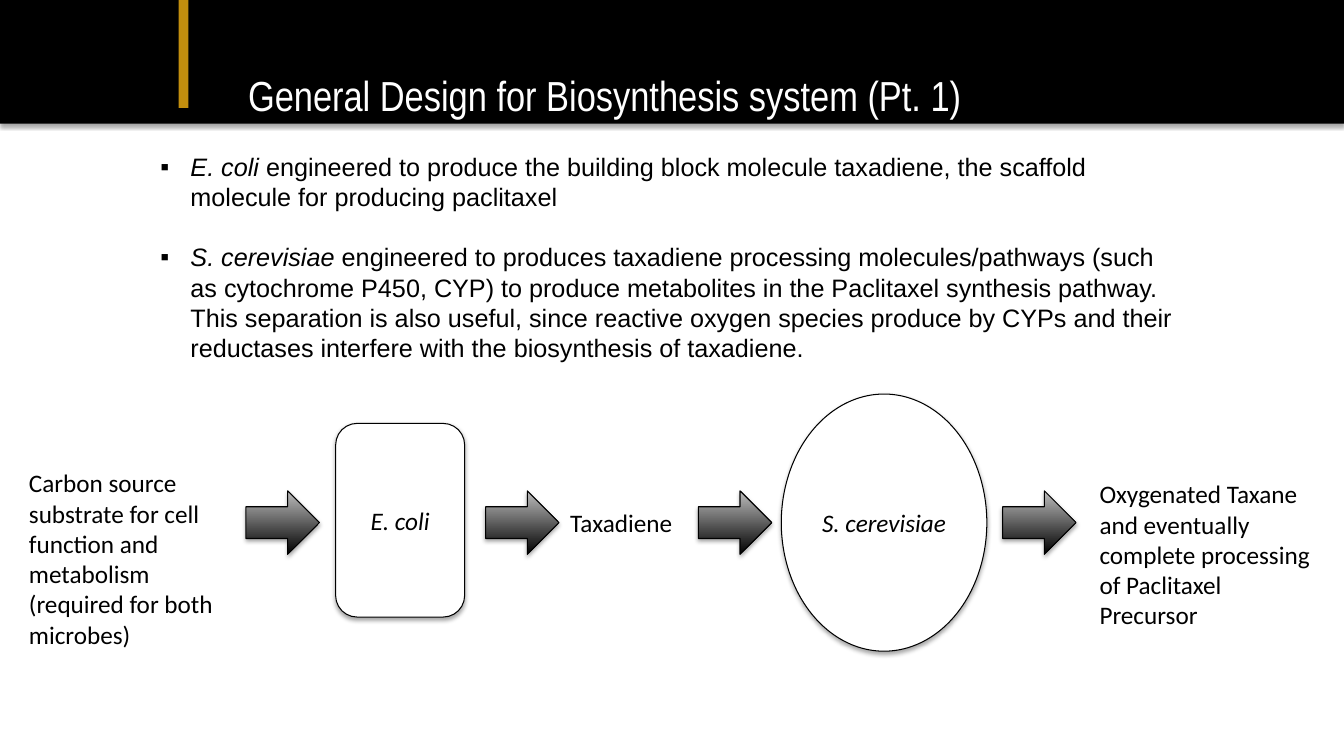
from dataclasses import dataclass

from lxml import etree
from pptx import Presentation
from pptx.dml.color import RGBColor
from pptx.enum.shapes import MSO_SHAPE
from pptx.enum.text import MSO_ANCHOR, MSO_AUTO_SIZE, PP_ALIGN
from pptx.oxml import parse_xml
from pptx.oxml.ns import nsdecls, qn
from pptx.util import Cm, Pt

RECTANGLE = MSO_SHAPE.RECTANGLE
ROUNDED = MSO_SHAPE.ROUNDED_RECTANGLE
ELLIPSE = MSO_SHAPE.OVAL
ARROW = MSO_SHAPE.RIGHT_ARROW
LEFT, CENTER = PP_ALIGN.LEFT, PP_ALIGN.CENTER
TOP, MIDDLE = MSO_ANCHOR.TOP, MSO_ANCHOR.MIDDLE
FIXED, GROW = MSO_AUTO_SIZE.NONE, MSO_AUTO_SIZE.SHAPE_TO_FIT_TEXT


@dataclass(frozen=True)
class Theme:
    black: RGBColor = RGBColor(0, 0, 0)
    white: RGBColor = RGBColor(255, 255, 255)
    gold: RGBColor = RGBColor(0xC2, 0x8E, 0x0E)
    silver: RGBColor = RGBColor(0xBD, 0xBD, 0xBD)
    title_font: str = "Arial Narrow"
    body_font: str = "Arial"
    label_font: str = "Calibri"
    title_size: Pt = Pt(30)
    text_size: Pt = Pt(18)
    outline: Pt = Pt(0.75)


THEME = Theme()

TITLE = "General Design for Biosynthesis system (Pt. 1)"
BULLETS = [
    ("E. coli ", "engineered to produce the building block molecule taxadiene, "
     "the scaffold molecule for producing paclitaxel"),
    ("S. cerevisiae ", "engineered to produces taxadiene processing molecules/pathways "
     "(such as cytochrome P450, CYP) to produce metabolites in the Paclitaxel synthesis "
     "pathway.  This separation is also useful, since reactive oxygen species produce by "
     "CYPs and their reductases interfere with the biosynthesis of taxadiene."),
]
LABELS = [
    ("Carbon source substrate for cell function and metabolism (required for both microbes)",
     0.48, 1.73, 5.51, 4.88),
    ("Taxadiene", 14.12, 2.74, 4.14, 1.02),
    ("Oxygenated Taxane and eventually complete processing of Paclitaxel Precursor",
     27.46, 2.01, 6.02, 4.11),
]
MICROBES = [
    ("E. coli", ROUNDED, 8.46, 0.74, 3.25, 4.88),
    ("S. cerevisiae", ELLIPSE, 19.69, 0, 5.18, 6.48),
]
ARROW_LEFTS = [6.2, 12.24, 17.6, 25.27]
ARROW_WIDTH, ARROW_HEIGHT = 1.85, 1.6


def set_font(paragraph, name, size, color, italic=None):
    paragraph.font.name = name
    paragraph.font.size = size
    paragraph.font.color.rgb = color
    paragraph.font.italic = italic


def place(shape, left, top, width, height):
    shape.left, shape.top = Cm(left), Cm(top)
    shape.width, shape.height = Cm(width), Cm(height)


def clear_insets(frame, anchor):
    frame.margin_left = frame.margin_right = frame.margin_top = frame.margin_bottom = 0
    frame.vertical_anchor = anchor
    frame.auto_size = FIXED
    frame.word_wrap = True


def add_shadowed_shape(slide, kind, left, top, width, height, fill=None):
    shape = slide.shapes.add_shape(kind, Cm(left), Cm(top), Cm(width), Cm(height))
    shape.shadow.inherit = False
    shape.element.spPr.find(qn("a:effectLst")).append(parse_xml(
        f'<a:outerShdw {nsdecls("a")} blurRad="40000" dist="23000" dir="5400000" '
        'rotWithShape="0"><a:srgbClr val="000000"><a:alpha val="35000"/></a:srgbClr>'
        '</a:outerShdw>'))
    if fill is not None:
        shape.fill.solid()
        shape.fill.fore_color.rgb = fill
    return shape


def add_outline(shape):
    shape.line.color.rgb = THEME.black
    shape.line.width = THEME.outline


def add_header(slide, left, top, width, height):
    banner = add_shadowed_shape(slide, RECTANGLE, left, top, width, height, THEME.black)
    accent = add_shadowed_shape(slide, RECTANGLE, left + 4.5, 0, 0.25, 2.72, THEME.gold)
    for shape in (banner, accent):
        shape.line.fill.background()

    title = slide.shapes.title
    title.element.getparent().append(title.element)
    place(title, left + 6.25, top + height - 1.47, 22.58, 1.47)
    title.text_frame.text = TITLE
    clear_insets(title.text_frame, MIDDLE)
    paragraph = title.text_frame.paragraphs[0]
    paragraph.alignment = LEFT
    set_font(paragraph, THEME.title_font, THEME.title_size, THEME.white)


def add_bullets(slide, left, top, width, height):
    body = slide.placeholders[1]
    place(body, left, top, width, height)
    frame = body.text_frame
    clear_insets(frame, TOP)
    for index, (species, description) in enumerate(BULLETS):
        paragraph = frame.add_paragraph() if index else frame.paragraphs[0]
        properties = paragraph._p.get_or_add_pPr()
        properties.set("marL", str(Cm(0.76)))
        properties.set("indent", str(Cm(-0.76)))
        etree.SubElement(properties, qn("a:buFont")).set("typeface", THEME.body_font)
        etree.SubElement(properties, qn("a:buChar")).set("char", "▪")
        paragraph.space_before = Pt(21.5 if index else 0)
        set_font(paragraph, THEME.body_font, THEME.text_size, THEME.black)
        species_run = paragraph.add_run()
        species_run.text = species
        species_run.font.italic = True
        paragraph.add_run().text = description


def add_flow(slide, left, top, height):
    for text, kind, offset_x, offset_y, width, microbe_height in MICROBES:
        microbe = add_shadowed_shape(slide, kind, left + offset_x, top + offset_y,
                                     width, microbe_height, THEME.white)
        add_outline(microbe)
        microbe.text_frame.text = text
        microbe.text_frame.vertical_anchor = MIDDLE
        paragraph = microbe.text_frame.paragraphs[0]
        paragraph.alignment = CENTER
        set_font(paragraph, THEME.label_font, THEME.text_size, THEME.black, True)

    for offset_x in ARROW_LEFTS:
        arrow = add_shadowed_shape(slide, ARROW, left + offset_x,
                                   top + (height - ARROW_HEIGHT) / 2,
                                   ARROW_WIDTH, ARROW_HEIGHT)
        add_outline(arrow)
        arrow.fill.gradient()
        arrow.fill.gradient_angle = 90
        for stop, color in zip(arrow.fill.gradient_stops, (THEME.black, THEME.silver)):
            stop.color.rgb = color

    for text, offset_x, offset_y, width, label_height in LABELS:
        label = slide.shapes.add_textbox(Cm(left + offset_x), Cm(top + offset_y),
                                         Cm(width), Cm(label_height))
        label.text_frame.word_wrap = True
        label.text_frame.auto_size = GROW
        label.text_frame.text = text
        set_font(label.text_frame.paragraphs[0], THEME.label_font, THEME.text_size, THEME.black)


def main():
    presentation = Presentation()
    presentation.slide_width, presentation.slide_height = Cm(33.87), Cm(19.05)
    slide = presentation.slides.add_slide(presentation.slide_layouts[1])
    add_header(slide, 0, -0.03, 33.87, 3.15)
    add_bullets(slide, 4.04, 3.81, 25.68, 9.47)
    add_flow(slide, 0, 9.93, 6.48)
    presentation.save("out.pptx")


if __name__ == "__main__":
    main()
